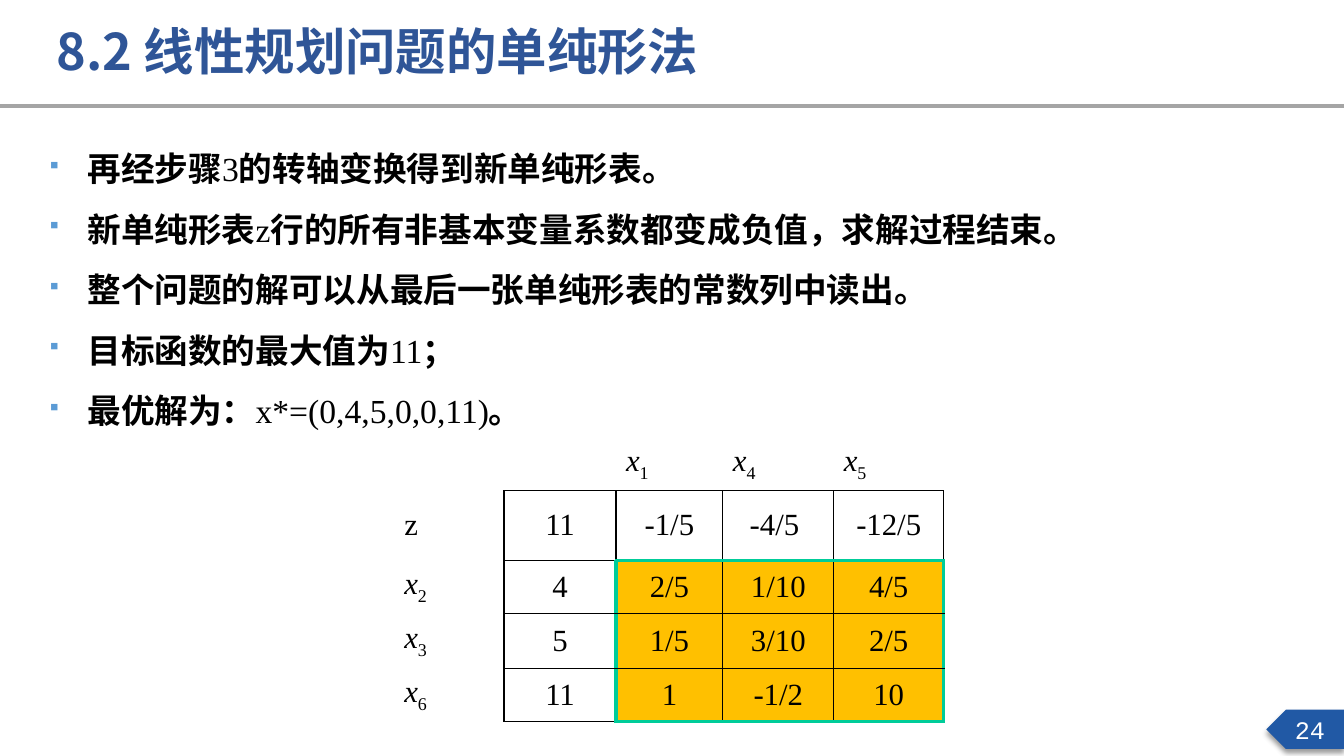
from lxml import etree
from pptx import Presentation
from pptx import util as u
from pptx.dml.color import RGBColor
from pptx.enum import shapes, text
from pptx.oxml import parse_xml
from pptx.oxml.ns import nsdecls, qn

TITLE = "8.2 线性规划问题的单纯形法"
PAGE_NUMBER = "24"
BULLETS = [
    [("再经步骤", True), ("3", False), ("的转轴变换得到新单纯形表。", True)],
    [("新单纯形表", True), ("z", False),
     ("行的所有非基本变量系数都变成负值，求解过程结束。", True)],
    [("整个问题的解可以从最后一张单纯形表的常数列中读出。", True)],
    [("目标函数的最大值为", True), ("11", False), ("；", True)],
    [("最优解为：", True), ("x*=(0,4,5,0,0,11)", False), ("。", True)],
]
TABLEAU = [
    ["", "", "x1", "x4", "x5"],
    ["z", "11", "-1/5", "-4/5 ", "-12/5"],
    ["x2", "4", "2/5", "1/10", "4/5"],
    ["x3", "5", "1/5", "3/10", "2/5"],
    ["x6", "11", "1", "-1/2", "10"],
]
COLUMN_WIDTHS = [1.09, 1.11, 1.06, 1.1, 1.09]
ROW_HEIGHTS = [0.54, 0.69, 0.53, 0.54, 0.53]
COLORS = {"title": "2F5597", "ink": "000000", "rule": "A5A5A5", "bullet": "5B9BD5",
          "badge": "2159A5", "white": "FFFFFF", "block": "FFC000", "frame": "00CC99"}
SANS, SERIF, MONO = "Noto Sans CJK SC", "Times New Roman", "Courier New"
NO_STYLE = "{2D5ABB26-0587-4C30-8999-92F81FD0307C}"


def rgb(name):
    return RGBColor.from_string(COLORS[name])


def add_run(para, words, size, face, color="ink", bold=False, italic=False):
    span = para.add_run()
    span.text = words
    font = span.font
    font.size, font.name, font.bold, font.italic = u.Pt(size), face, bold, italic
    font.color.rgb = rgb(color)
    east = etree.SubElement(span._r.get_or_add_rPr(), qn("a:ea"))
    east.set("typeface", SANS)
    return span


def add_bullet(para):
    props = para._p.get_or_add_pPr()
    props.set("marL", str(u.Inches(0.38)))
    props.set("indent", str(-u.Inches(0.38)))
    for xml in (f'<a:buClr {nsdecls("a")}><a:srgbClr val="{COLORS["bullet"]}"/></a:buClr>',
                f'<a:buSzPct {nsdecls("a")} val="65000"/>',
                f'<a:buFont {nsdecls("a")} typeface="Wingdings" charset="2"/>',
                f'<a:buChar {nsdecls("a")} char="§"/>'):
        props.append(parse_xml(xml))


def edge_style(across, along):
    if along >= 2 and across in (2, 5):
        return "frame", 3
    if along >= 1 and across >= 1:
        return "ink", 1
    return None


def add_borders(cell, row, col):
    props = cell._tc.get_or_add_tcPr()
    edges = [("lnL", col, row), ("lnR", col + 1, row),
             ("lnT", row, col), ("lnB", row + 1, col)]
    styles = [(tag, edge_style(across, along)) for tag, across, along in edges]
    drawn = [(tag, style) for tag, style in styles if style]
    for place, (tag, (color, width)) in enumerate(drawn):
        props.insert(place, parse_xml(
            f'<a:{tag} {nsdecls("a")} w="{u.Pt(width)}"><a:solidFill>'
            f'<a:srgbClr val="{COLORS[color]}"/></a:solidFill></a:{tag}>'))


def fill_cell(cell, row, col, words):
    cell.vertical_anchor = text.MSO_ANCHOR.MIDDLE
    if row >= 2 and col >= 2:
        cell.fill.solid()
        cell.fill.fore_color.rgb = rgb("block")
    else:
        cell.fill.background()
    add_borders(cell, row, col)
    if not words:
        return
    para = cell.text_frame.paragraphs[0]
    if words.startswith("x"):
        add_run(para, words[0], 22, SERIF, italic=True)
        index = add_run(para, words[1:], 22, SERIF)
        index._r.get_or_add_rPr().set("baseline", "-25000")
    else:
        add_run(para, words, 22, SERIF)
    if row >= 1 and col >= 1:
        para.alignment = text.PP_ALIGN.CENTER


def add_title_bar(page):
    rule = page.shapes.add_connector(shapes.MSO_CONNECTOR.STRAIGHT, 0, u.Inches(1.05),
                                     u.Inches(13.33), u.Inches(1.05))
    rule.line.color.rgb = rgb("rule")
    rule.line.width = u.Pt(3)
    etree.SubElement(rule._element.spPr, qn("a:effectLst"))
    title = page.shapes.title
    title.left, title.top = u.Inches(0.46), u.Inches(0.15)
    title.width, title.height = u.Inches(7.02), u.Inches(0.58)
    frame = title.text_frame
    frame.auto_size = text.MSO_AUTO_SIZE.NONE
    frame.vertical_anchor = text.MSO_ANCHOR.TOP
    para = frame.paragraphs[0]
    para.alignment = text.PP_ALIGN.LEFT
    para.line_spacing = 1.0
    add_run(para, TITLE, 36, SANS, "title", bold=True)


def add_body(page):
    box = page.shapes.add_textbox(u.Inches(0.39), u.Inches(1.22),
                                  u.Inches(12.49), u.Inches(3.44))
    frame = box.text_frame
    frame.word_wrap = True
    frame.auto_size = text.MSO_AUTO_SIZE.NONE
    for number, runs in enumerate(BULLETS):
        para = frame.add_paragraph() if number else frame.paragraphs[0]
        add_bullet(para)
        para.line_spacing = 1.5
        for words, bold in runs:
            add_run(para, words, 24, SERIF, bold=bold)


def add_tableau(page):
    holder = page.shapes.add_table(len(TABLEAU), len(TABLEAU[0]), u.Inches(3.91),
                                   u.Inches(4.33), u.Inches(sum(COLUMN_WIDTHS)),
                                   u.Inches(sum(ROW_HEIGHTS)))
    table = holder.table
    table.first_row = table.horz_banding = False
    table._tbl.tblPr.find(qn("a:tableStyleId")).text = NO_STYLE
    for column, width in zip(table.columns, COLUMN_WIDTHS):
        column.width = u.Inches(width)
    for row, (line, height) in enumerate(zip(TABLEAU, ROW_HEIGHTS)):
        table.rows[row].height = u.Inches(height)
        for col, words in enumerate(line):
            fill_cell(table.cell(row, col), row, col, words)


def add_badge(page):
    badge = page.shapes.add_shape(shapes.MSO_SHAPE.PENTAGON, u.Inches(12.56),
                                  u.Inches(7.04), u.Inches(0.77), u.Inches(0.39))
    badge._element.spPr.find(qn("a:xfrm")).set("flipH", "1")
    badge.fill.solid()
    badge.fill.fore_color.rgb = rgb("badge")
    badge.line.fill.background()
    badge.shadow.inherit = False
    badge._element.spPr.find(qn("a:effectLst")).append(parse_xml(
        f'<a:outerShdw {nsdecls("a")} blurRad="{u.Pt(4)}" dist="{u.Pt(3)}" dir="5400000">'
        f'<a:srgbClr val="{COLORS["ink"]}"><a:alpha val="40000"/></a:srgbClr></a:outerShdw>'))
    frame = badge.text_frame
    frame.vertical_anchor = text.MSO_ANCHOR.MIDDLE
    para = frame.paragraphs[0]
    para.alignment = text.PP_ALIGN.CENTER
    add_run(para, PAGE_NUMBER, 18, MONO, "white")


def main():
    deck = Presentation()
    deck.slide_width, deck.slide_height = u.Inches(13.33), u.Inches(7.5)
    page = deck.slides.add_slide(deck.slide_layouts[5])
    add_title_bar(page)
    add_badge(page)
    add_body(page)
    add_tableau(page)
    deck.save("out.pptx")


if __name__ == "__main__":
    main()
